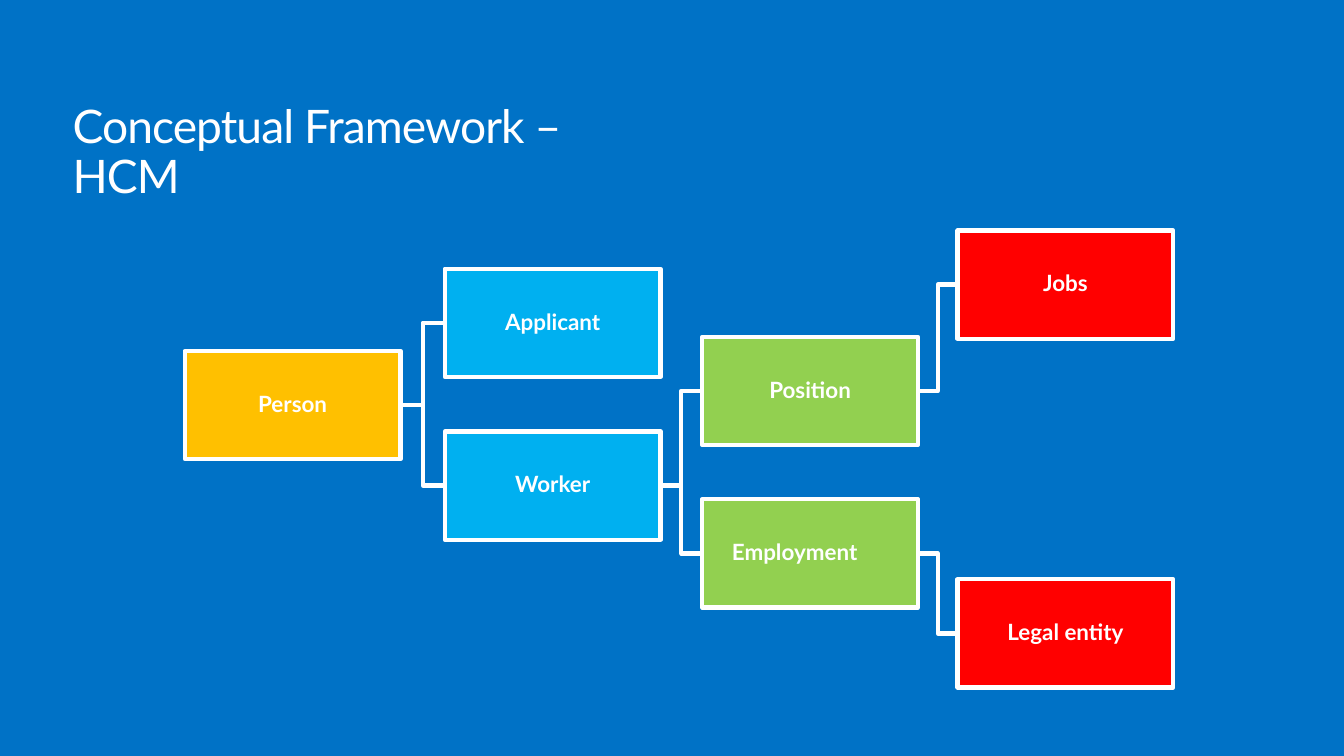
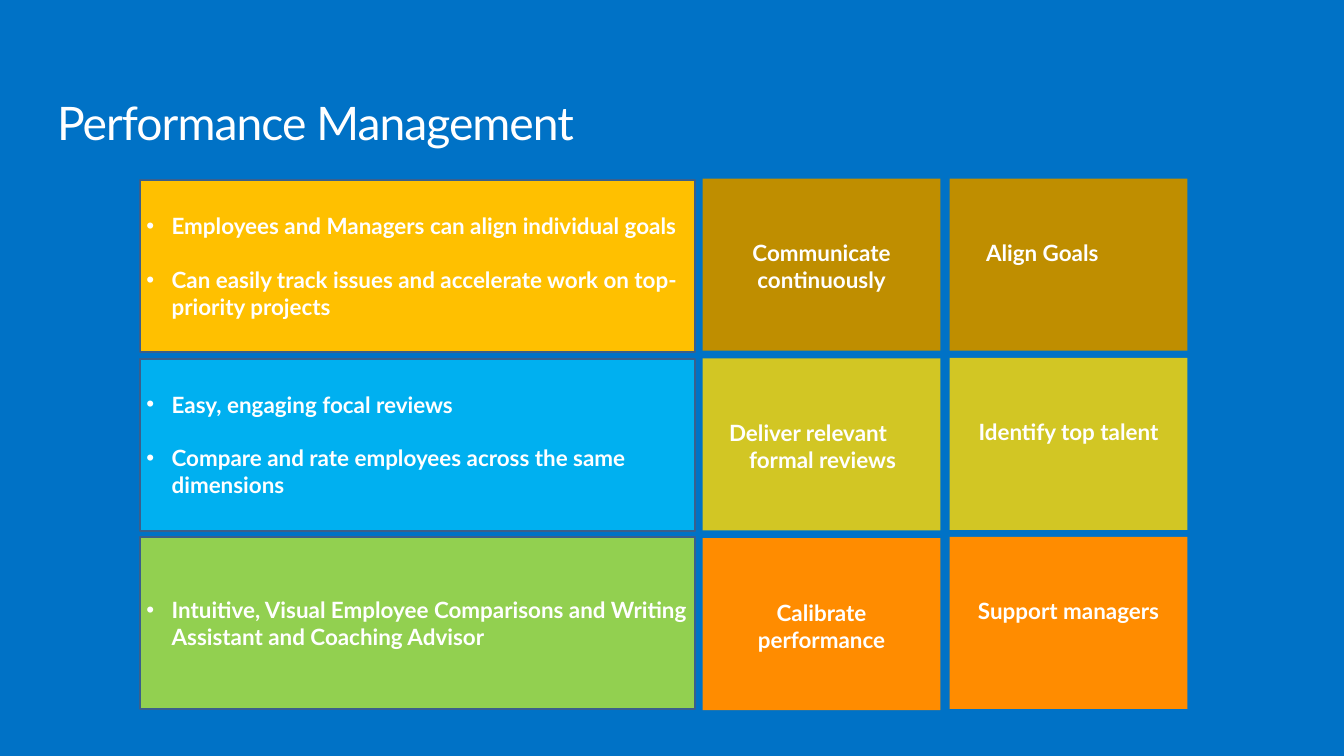
from lxml.etree import SubElement
from pptx import Presentation
from pptx.dml.color import RGBColor
from pptx.enum.shapes import MSO_CONNECTOR as Link, MSO_SHAPE as Shape
from pptx.enum.text import MSO_ANCHOR as Anchor, MSO_AUTO_SIZE as Fit, PP_ALIGN as Align
from pptx.oxml.ns import qn
from pptx.util import Pt

BLUE = RGBColor(0x00, 0x72, 0xC6)
WHITE = RGBColor(0xFF, 0xFF, 0xFF)
AMBER = RGBColor(0xFF, 0xC0, 0x00)
SKY = RGBColor(0x00, 0xB0, 0xF0)
GREEN = RGBColor(0x92, 0xD0, 0x50)
RED = RGBColor(0xFF, 0x00, 0x00)
OCHRE = RGBColor(0xBF, 0x8E, 0x00)
LIME = RGBColor(0xD2, 0xC6, 0x24)
ORANGE = RGBColor(0xFF, 0x8C, 0x00)
EDGE = RGBColor(0x3A, 0x5F, 0x8C)
FONT = "Lato"


def write(shape, *lines, size=24, bold=True, align=Align.CENTER, anchor=Anchor.MIDDLE,
          inset=(7.2, 3.6, 7.2, 3.6), spacing=1, gap=0, left=0, first=0,
          bullet=None, track=0):
    """Fill a shape with one paragraph per line; lengths in points."""
    frame = shape.text_frame
    frame.word_wrap = True
    frame.auto_size = Fit.NONE
    frame.vertical_anchor = anchor
    (frame.margin_left, frame.margin_top,
     frame.margin_right, frame.margin_bottom) = map(Pt, inset)
    for i, line in enumerate(lines):
        para = frame.paragraphs[0] if i == 0 else frame.add_paragraph()
        props = para._p.get_or_add_pPr()
        props.set("marL", str(Pt(left)))
        props.set("indent", str(Pt(first)))
        if bullet:
            SubElement(props, qn("a:buFont"), typeface="Arial")
            SubElement(props, qn("a:buChar"), char=bullet)
        para.alignment = align
        para.line_spacing = spacing
        para.space_before = Pt(gap if i else 0)
        run = para.add_run()
        run.text = line
        font = run.font
        font.name, font.size, font.bold = FONT, Pt(size), bold
        font.color.rgb = WHITE
        if track:
            run._r.get_or_add_rPr().set("spc", str(track * 100))


def add_box(slide, x, y, w, h, fill, line=None, width=0):
    box = slide.shapes.add_shape(Shape.RECTANGLE, Pt(x), Pt(y), Pt(w), Pt(h))
    box.shadow.inherit = False
    box.fill.solid()
    box.fill.fore_color.rgb = fill
    if line is None:
        box.line.fill.background()
    else:
        box.line.color.rgb = line
        box.line.width = Pt(width)
    return box


def add_link(slide, start, end):
    """Join the right side of one box to the left side of another."""
    link = slide.shapes.add_connector(Link.ELBOW, 0, 0, 0, 0)
    link.begin_connect(start, 3)
    link.end_connect(end, 1)
    link.line.color.rgb = WHITE
    link.line.width = Pt(4.5)
    SubElement(link._element.spPr, qn("a:effectLst"))


def add_page(prs, title, x, y, w, h):
    slide = prs.slides.add_slide(prs.slide_layouts[5])
    head = slide.shapes.title
    head.left, head.top, head.width, head.height = map(Pt, (x, y, w, h))
    write(head, title, size=49.5, bold=False, align=Align.LEFT, anchor=Anchor.TOP,
          inset=(0, 0, 0, 0), spacing=0.9, track=-1)
    return slide


def add_tree(slide, x, y):
    """Tree of records, read from left to right."""
    cols = (0, 278.6, 554.4, 828)
    nodes = (  # name, column, top, fill, parent
        ("Person", 0, 129, AMBER, None),
        ("Applicant", 1, 41, SKY, "Person"),
        ("Worker", 1, 215.3, SKY, "Person"),
        ("Position", 2, 113.8, GREEN, "Worker"),
        ("Employment", 2, 288, GREEN, "Worker"),
        ("Jobs", 3, 0, RED, "Position"),
        ("Legal entity", 3, 373.7, RED, "Employment"),
    )
    boxes = {}
    for name, col, top, fill, parent in nodes:
        box = add_box(slide, x + cols[col], y + top, 231.1, 115.9, fill, WHITE, 4.5)
        right = 34.5 if name == "Employment" else 1.4
        write(box, name, inset=(1.4, 1.4, right, 1.4), spacing=0.9)
        boxes[name] = box
        if parent:
            add_link(slide, boxes[parent], box)


def add_notes(slide, x, y):
    """Column of wide boxes with bullet lists."""
    rows = (
        (AMBER, "Employees and Managers can align individual goals",
         "Can easily track issues and accelerate work on top-priority projects"),
        (SKY, "Easy, engaging focal reviews",
         "Compare and rate employees across the same dimensions"),
        (GREEN, "Intuitive, Visual Employee Comparisons and Writing "
                "Assistant and Coaching Advisor"),
    )
    for i, (fill, *lines) in enumerate(rows):
        box = add_box(slide, x, y + i * 191.2, 594.7, 184.3, fill, EDGE, 2)
        write(box, *lines, align=Align.LEFT, left=27, first=-27, bullet="•", gap=28.8)


def add_tiles(slide, x, y, step, names, **formats):
    """Column of small tiles; formats holds exceptions by row."""
    for i, (name, fill) in enumerate(zip(names, (OCHRE, LIME, ORANGE))):
        box = add_box(slide, x, y + i * step, 254.9, 184.3, fill)
        write(box, name, anchor=Anchor.TOP, inset=(10.8, 64.8, 10.8, 7.2),
              **formats.get(f"row{i}", {}))


def main():
    prs = Presentation()
    prs.slide_width, prs.slide_height = Pt(1440), Pt(810)
    back = prs.slide_master.background.fill
    back.solid()
    back.fore_color.rgb = BLUE

    # Framework
    slide = add_page(prs, "Conceptual Framework – HCM", 77.8, 110.9, 635.8, 54)
    add_tree(slide, 198, 247)

    # Performance
    slide = add_page(prs, "Performance Management", 61.2, 108, 1316.9, 78.5)
    add_notes(slide, 149.8, 193)
    add_tiles(slide, 752.8, 191.5, 192.6,
              ("Communicate continuously", "Deliver relevant formal reviews",
               "Calibrate performance"),
              row1=dict(align=Align.LEFT, left=39, first=-21.4))
    add_tiles(slide, 1017.4, 191.5, 191.9,
              ("Align Goals", "Identify top talent", "Support managers"),
              row0=dict(align=Align.LEFT, left=28.3))

    prs.save("out.pptx")


if __name__ == "__main__":
    main()
